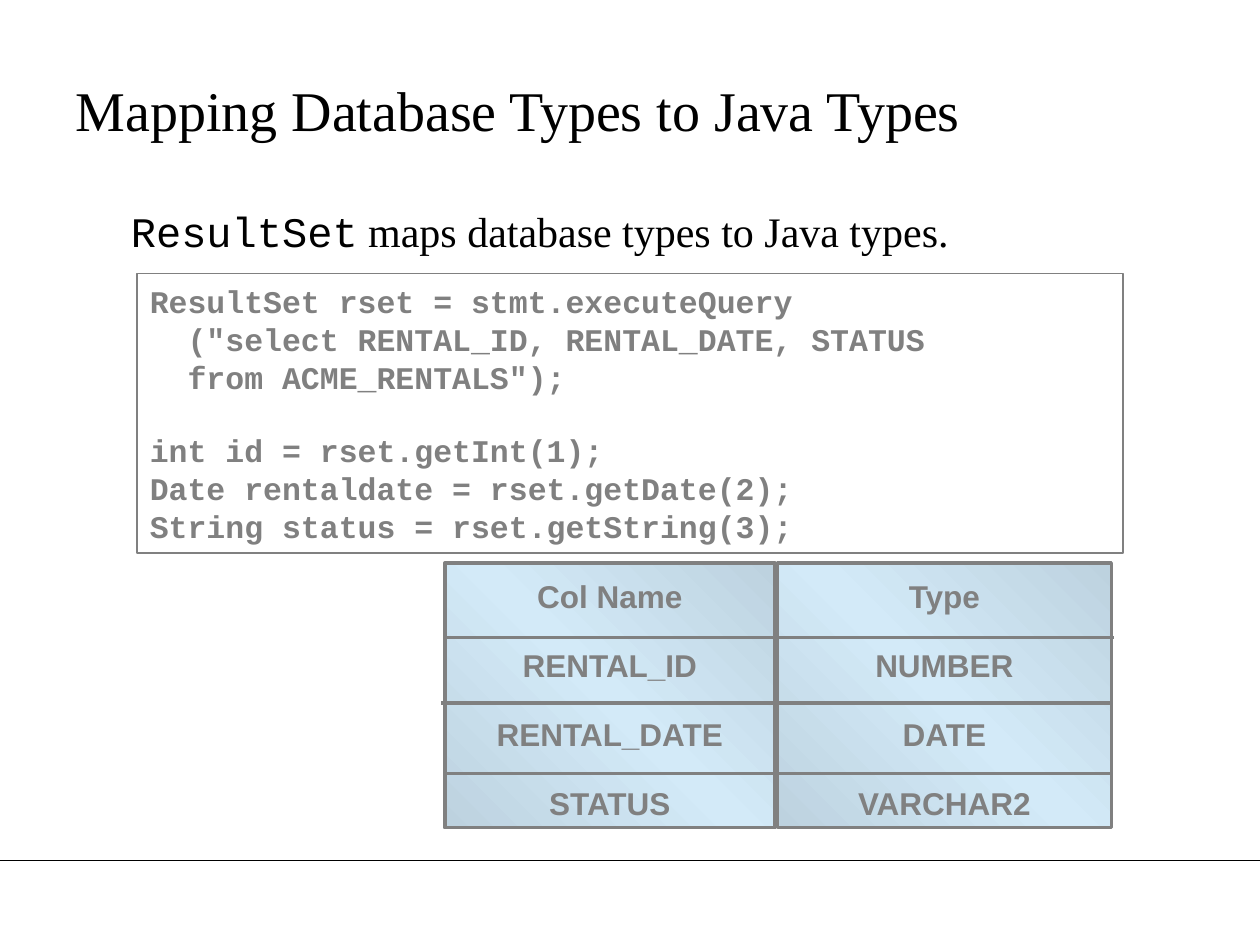
from dataclasses import dataclass

from lxml.etree import SubElement
from pptx import Presentation
from pptx.dml.color import RGBColor
from pptx.enum.shapes import MSO_CONNECTOR, MSO_SHAPE
from pptx.enum.text import MSO_ANCHOR, PP_ALIGN
from pptx.oxml import parse_xml
from pptx.oxml.ns import nsdecls, qn
from pptx.util import Inches, Pt

COLORS = {
    "paper": "FFFFFF",
    "ink": "000000",
    "gray": "808080",
    "column_edge": "BDD2DF",
    "column_middle": "D3EAF8",
}
SERIF, MONO, SANS = "Times New Roman", "Courier New", "Arial"


@dataclass(frozen=True)
class Box:
    left: float
    top: float
    width: float
    height: float

    def lengths(self) -> tuple:
        return tuple(map(Inches, (self.left, self.top, self.width, self.height)))


@dataclass(frozen=True)
class Rule:
    left: float
    right: float
    y: float
    color: str = "gray"
    weight: float = 2


@dataclass(frozen=True)
class CodeLine:
    text: str
    indent: float = 0
    space_before: float = 0


@dataclass(frozen=True)
class Column:
    box: Box
    entries: tuple


FOOTER_RULE = Rule(0, 10, 6.83, "ink", 0.75)
ROW_RULES = (Rule(3.53, 8.84, 5.06), Rule(3.5, 8.82, 5.58), Rule(3.52, 8.83, 6.14))
CODE = (
    CodeLine("ResultSet rset = stmt.executeQuery"),
    CodeLine('("select RENTAL_ID, RENTAL_DATE, STATUS', indent=0.3),
    CodeLine('from ACME_RENTALS");', indent=0.3),
    CodeLine("int id = rset.getInt(1);", space_before=20.4),
    CodeLine("Date rentaldate = rset.getDate(2);"),
    CodeLine("String status = rset.getString(3);"),
)
COLUMNS = (
    Column(Box(3.53, 4.47, 2.62, 2.1), ("Col Name", "RENTAL_ID", "RENTAL_DATE", "STATUS")),
    Column(Box(6.17, 4.47, 2.65, 2.1), ("Type", "NUMBER", "DATE", "VARCHAR2")),
)


def rgb(name: str) -> RGBColor:
    return RGBColor.from_string(COLORS[name])


def write(paragraph, text: str, *, font: str, size: float, color: str = "gray",
          bold: bool = False, align=PP_ALIGN.LEFT, space_before: float = 0,
          line_spacing: float = 1.0, indent: float = 0) -> None:
    paragraph.alignment = align
    paragraph.space_before = Pt(space_before)
    paragraph.line_spacing = line_spacing
    if indent:
        paragraph._p.get_or_add_pPr().set("marL", str(Inches(indent)))
    run = paragraph.add_run()
    run.text = text
    run.font.name = font
    run.font.size = Pt(size)
    run.font.bold = bold
    run.font.color.rgb = rgb(color)


def next_paragraph(frame, index: int):
    return frame.paragraphs[0] if index == 0 else frame.add_paragraph()


def add_text_box(slide, box: Box, anchor, top_inset: float = 0.05):
    frame = slide.shapes.add_textbox(*box.lengths()).text_frame
    frame.word_wrap = True
    frame.vertical_anchor = anchor
    frame.margin_top = Inches(top_inset)
    return frame.paragraphs[0]


def add_panel(slide, box: Box, line_weight: float, anchor):
    panel = slide.shapes.add_shape(MSO_SHAPE.RECTANGLE, *box.lengths())
    panel.shadow.inherit = False
    panel.fill.solid()
    panel.fill.fore_color.rgb = rgb("paper")
    panel.line.color.rgb = rgb("gray")
    panel.line.width = Pt(line_weight)
    panel.text_frame.word_wrap = True
    panel.text_frame.vertical_anchor = anchor
    return panel


def shade_column(panel) -> None:
    stops = "".join(
        f'<a:gs pos="{position}"><a:srgbClr val="{COLORS[name]}"/></a:gs>'
        for position, name in ((0, "column_edge"), (50000, "column_middle"), (100000, "column_edge"))
    )
    gradient = parse_xml(
        f'<a:gradFill {nsdecls("a")} rotWithShape="1"><a:gsLst>{stops}</a:gsLst>'
        '<a:lin ang="18900000" scaled="0"/></a:gradFill>'
    )
    properties = panel._element.spPr
    properties.replace(properties.find(qn("a:solidFill")), gradient)


def add_rule(slide, rule: Rule) -> None:
    connector = slide.shapes.add_connector(
        MSO_CONNECTOR.STRAIGHT, Inches(rule.left), Inches(rule.y), Inches(rule.right), Inches(rule.y)
    )
    connector.line.color.rgb = rgb(rule.color)
    connector.line.width = Pt(rule.weight)
    SubElement(connector._element.spPr, qn("a:effectLst"))


def add_code(slide) -> None:
    panel = add_panel(slide, Box(1.09, 2.17, 7.82, 2.22), 1, MSO_ANCHOR.MIDDLE)
    for index, line in enumerate(CODE):
        write(next_paragraph(panel.text_frame, index), line.text, font=MONO, size=18, bold=True,
              indent=line.indent, space_before=line.space_before)


def add_column(slide, column: Column) -> None:
    panel = add_panel(slide, column.box, 2, MSO_ANCHOR.TOP)
    shade_column(panel)
    for index, entry in enumerate(column.entries):
        write(next_paragraph(panel.text_frame, index), entry, font=SANS, size=18, bold=True,
              align=PP_ALIGN.CENTER, space_before=13.5, line_spacing=1.2)


def main() -> None:
    presentation = Presentation()
    presentation.slide_width = Inches(10)
    presentation.slide_height = Inches(7.5)
    slide = presentation.slides.add_slide(presentation.slide_layouts[6])

    add_rule(slide, FOOTER_RULE)
    title = add_text_box(slide, Box(0.5, 0.5, 8.42, 0.5), MSO_ANCHOR.TOP, top_inset=0.1)
    write(title, "Mapping Database Types to Java Types", font=SERIF, size=32, color="ink")
    statement = add_text_box(slide, Box(0.94, 1.58, 8.08, 0.5), MSO_ANCHOR.MIDDLE)
    write(statement, "ResultSet", font=MONO, size=24, color="ink", space_before=6)
    write(statement, " maps database types to Java types.", font=SERIF, size=24, color="ink",
          space_before=6)

    add_code(slide)
    for column in COLUMNS:
        add_column(slide, column)
    for rule in ROW_RULES:
        add_rule(slide, rule)
    presentation.save("out.pptx")


if __name__ == "__main__":
    main()
